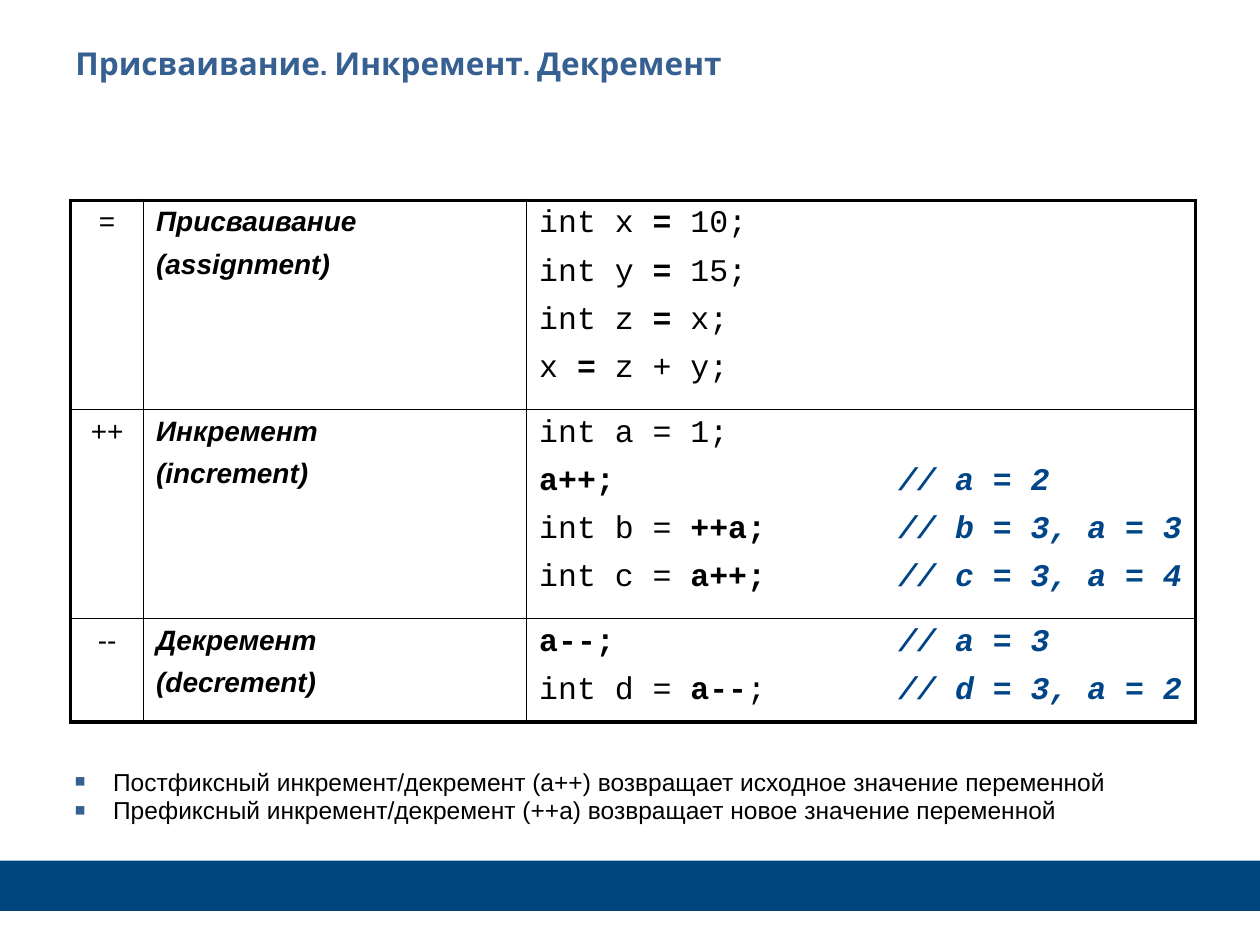
from dataclasses import dataclass

from lxml import etree
from pptx import Presentation
from pptx.dml.color import RGBColor
from pptx.enum.shapes import MSO_SHAPE
from pptx.enum.text import PP_ALIGN
from pptx.oxml.ns import qn
from pptx.util import Inches, Pt

RECT = MSO_SHAPE.RECTANGLE
LEFT, MID = PP_ALIGN.LEFT, PP_ALIGN.CENTER


@dataclass(frozen=True)
class Theme:
    ink: str = "000000"
    head: str = "376092"
    note: str = "004587"
    bar: str = "00467E"
    title: int = 18
    code: int = 18
    term: int = 16
    body: int = 14
    sans: str = "Arial"
    mono: str = "Courier New"
    show: str = "Cabin"
    thin: float = 1
    thick: float = 2.25


THEME = Theme()

# Asterisks switch bold on and off; a tab starts the comment
ROWS = [
    ("=", ["Присваивание", "(assignment)"],
     ["int x *=* 10;", "int y *=* 15;", "int z *= *x;", "x *=* z + y;"]),
    ("++", ["Инкремент", "(increment)"],
     ["int a = 1;", "*a++;*\t// a = 2", "int b = *++a;*\t// b = 3, a = 3",
      "int c = *a++;*\t// c = 3, a = 4"]),
    ("--", ["Декремент", "(decrement)"],
     ["*a--;*\t// a = 3", "int d = *a--*;\t// d = 3, a = 2"]),
]
NOTES = [
    "Постфиксный инкремент/декремент (a++) возвращает исходное значение переменной",
    "Префиксный инкремент/декремент (++a) возвращает новое значение переменной",
]


def unit(n):
    """Length of n cells in a grid of 100 columns by 75 rows."""
    return Inches(n / 10)


def style(run, face, size, color, bold=False, slant=False):
    font = run.font
    font.name, font.size = face, Pt(size)
    font.bold, font.italic = bold, slant
    font.color.rgb = RGBColor.from_string(color)


def node(root, tag, **attrs):
    return etree.SubElement(root, qn(tag), {k: str(v) for k, v in attrs.items()})


def space(para, tag, share):
    """Paragraph gap as a share of the line."""
    gap = node(para._p.get_or_add_pPr(), tag)
    node(gap, "a:spcPct", val=round(share * 100000))


def box(slide, left, top, wide, high, lines):
    frame = slide.shapes.add_textbox(*map(unit, (left, top, wide, high))).text_frame
    frame.word_wrap = True
    frame.text = "\n".join(lines)
    return frame.paragraphs


def bullet(para):
    props = para._p.get_or_add_pPr()
    props.set("marL", str(unit(3.1)))
    props.set("indent", str(-unit(3.1)))
    para.line_spacing = 0.8
    space(para, "a:spcBef", 0.2)
    node(node(props, "a:buClr"), "a:srgbClr", val=THEME.head)
    node(props, "a:buSzPct", val=140000)
    node(props, "a:buFont", typeface=THEME.sans)
    node(props, "a:buChar", char="▪")


def edge(cell, side, width):
    line = node(cell._tc.get_or_add_tcPr(), f"a:ln{side}", w=Pt(width))
    node(node(line, "a:solidFill"), "a:srgbClr", val=THEME.ink)


def words(cell, lines, align=LEFT, strong=False):
    cell.text_frame.text = "\n".join(lines)
    for para in cell.text_frame.paragraphs:
        para.alignment = align
        space(para, "a:spcAft", 0.4)
        style(para.runs[0], THEME.sans, THEME.term, THEME.ink, strong, strong)


def code(cell, lines):
    frame = cell.text_frame
    for i, line in enumerate(lines):
        para = frame.add_paragraph() if i else frame.paragraphs[0]
        space(para, "a:spcAft", 0.4)
        main, tab, note = line.partition("\t")
        for j, part in enumerate(main.split("*")):
            if part:
                run = para.add_run()
                run.text = part
                style(run, THEME.mono, THEME.code, THEME.ink, j % 2 == 1)
        if note:
            stops = node(para._p.get_or_add_pPr(), "a:tabLst")
            node(stops, "a:tab", pos=unit(28.5), algn="l")
            run = para.add_run()
            run.text = tab + note
            style(run, THEME.mono, THEME.code, THEME.note, True, True)


def grid(slide, left, top, cols, rows):
    size = map(unit, (left, top, sum(cols), sum(rows)))
    table = slide.shapes.add_table(len(rows), len(cols), *size).table
    table.first_row = table.horz_banding = False
    for col, wide in zip(table.columns, cols):
        col.width = unit(wide)
    for row, high in zip(table.rows, rows):
        row.height = unit(high)
    # Thick outer frame, thin inner rules
    for r in range(len(rows)):
        for c in range(len(cols)):
            cell = table.cell(r, c)
            outer = {"L": c == 0, "R": c == len(cols) - 1,
                     "T": r == 0, "B": r == len(rows) - 1}
            for side, rim in outer.items():
                edge(cell, side, THEME.thick if rim else THEME.thin)
            cell.fill.background()
    return table


def main():
    deck = Presentation()
    deck.slide_width, deck.slide_height = unit(100), unit(75)
    slide = deck.slides.add_slide(deck.slide_layouts[6])

    # Bottom bar
    bar = slide.shapes.add_shape(RECT, *map(unit, (0, 68.3, 100, 4)))
    bar.shadow.inherit = False
    bar.fill.solid()
    bar.fill.fore_color.rgb = RGBColor.from_string(THEME.bar)
    bar.line.fill.background()

    # Title
    head = box(slide, 5, 3, 90, 7.8, ["Присваивание. Инкремент. Декремент"])[0]
    style(head.runs[0], THEME.show, THEME.title, THEME.head, True)

    # Operators: sign, term, example
    table = grid(slide, 5.6, 15.9, [5.8, 30.4, 53.1], [16.6, 16.6, 8.2])
    for r, (sign, term, lines) in enumerate(ROWS):
        words(table.cell(r, 0), [sign], MID)
        words(table.cell(r, 1), term, strong=True)
        code(table.cell(r, 2), lines)

    # Notes
    for para in box(slide, 4.9, 60.8, 90, 6.8, NOTES):
        bullet(para)
        style(para.runs[0], THEME.sans, THEME.body, THEME.ink)

    deck.save("out.pptx")


if __name__ == "__main__":
    main()
